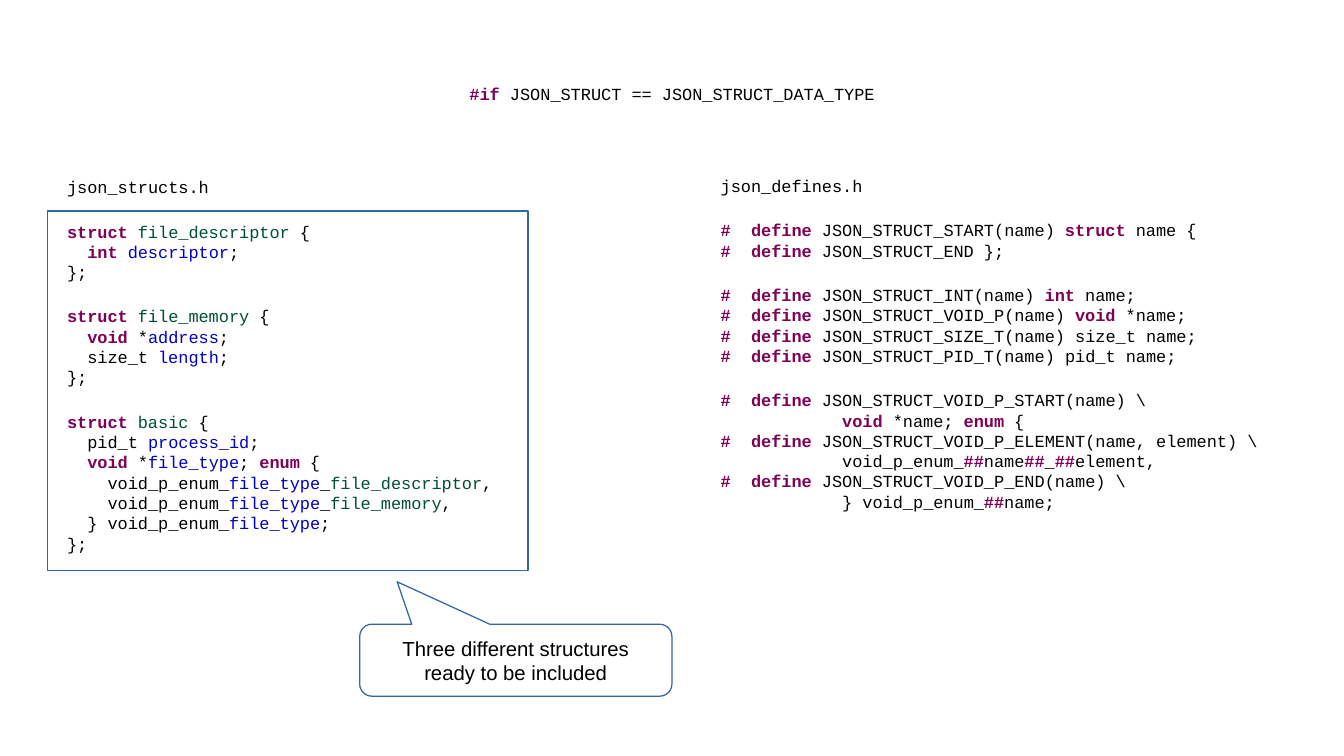
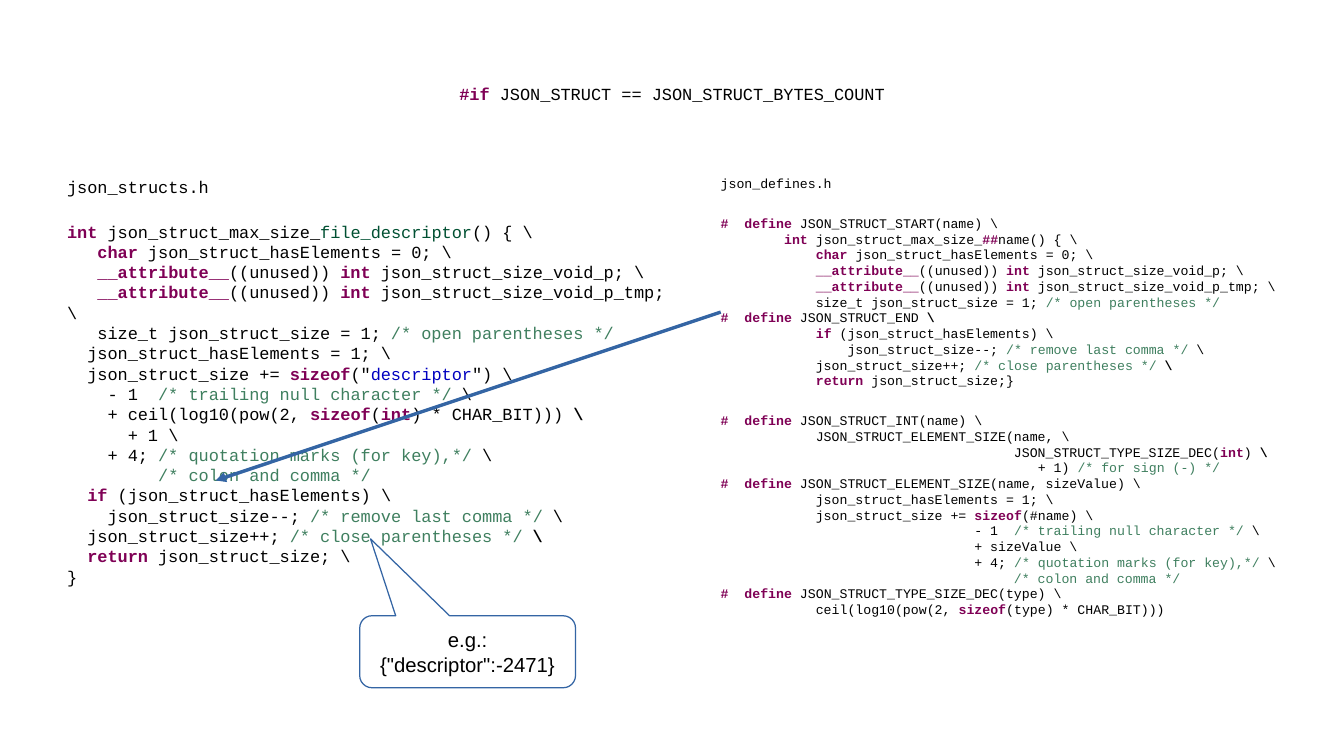
import pptx
import pptx.util
import pptx.dml.color
import pptx.enum.shapes
import pptx.enum.text
import pptx.oxml.xmlchemy

Pt = pptx.util.Pt
Shape = pptx.enum.shapes.MSO_SHAPE
Align = pptx.enum.text.PP_ALIGN
Anchor = pptx.enum.text.MSO_ANCHOR

COLOR = {
    "plain": "000000",
    "key": "7F0055",
    "type": "005032",
    "field": "0000C0",
    "note": "3F7F5F",
    "line": "3465A4",
}
STYLE = {
    "n": ("plain", False),
    "b": ("plain", True),
    "k": ("key", True),
    "t": ("type", False),
    "f": ("field", False),
    "c": ("note", False),
}
MONO = {"name": "Courier New", "size": Pt(10)}
SMALL = {"name": "Courier New", "size": Pt(7.8)}
SANS = {"name": "Arial", "size": Pt(12)}
FLUSH = dict.fromkeys(
    ("margin_left", "margin_top", "margin_right", "margin_bottom"), 0)
FRAME = {"word_wrap": True, "auto_size": pptx.enum.text.MSO_AUTO_SIZE.NONE}
PAGE = (793.44, 446.4)
TITLE = (39.6, 18, 714.24, 74.88)
LEFT = (39.6, 104.4, 357.12, 259.2)
RIGHT = (425.52, 103.7, 329.04, 259.2)

DATA_LEFT = [r"""json_structs.h

~kstruct ~tfile_descriptor~n {
  ~kint ~fdescriptor~n;
};

~kstruct ~tfile_memory~n {
  ~kvoid~n *~faddress~n;
  size_t ~flength~n;
};
""", r"""~kstruct ~tbasic~n {
  pid_t ~fprocess_id~n;
  ~kvoid~n *~ffile_type~n; ~kenum~n {
    void_p_enum_~ffile_type~n_~tfile_descriptor~n,
    void_p_enum_~ffile_type~n_~tfile_memory~n,
  } void_p_enum_~ffile_type~n;
};"""]

DATA_RIGHT = [r"""json_defines.h

~k#  define~n JSON_STRUCT_START(name) ~kstruct~n name {
~k#  define~n JSON_STRUCT_END };

~k#  define~n JSON_STRUCT_INT(name) ~kint~n name;
~k#  define~n JSON_STRUCT_VOID_P(name) ~kvoid~n *name;
~k#  define~n JSON_STRUCT_SIZE_T(name) size_t name;
~k#  define~n JSON_STRUCT_PID_T(name) pid_t name;
""", r"""~k#  define~n JSON_STRUCT_VOID_P_START(name) \
            ~kvoid~n *name; ~kenum~n {
~k#  define~n JSON_STRUCT_VOID_P_ELEMENT(name, element) \
            void_p_enum_~k##~nname~k##~n_~k##~nelement,
~k#  define~n JSON_STRUCT_VOID_P_END(name) \
            } void_p_enum_~k##~nname;"""]

COUNT_LEFT = [r"""json_structs.h

~kint~n json_struct_max_size_~tfile_descriptor~n() { \
   ~kchar~n json_struct_hasElements = 0; \
   ~k__attribute__~n((unused)) ~kint~n json_struct_size_void_p; \
   ~k__attribute__~n((unused)) ~kint~n json_struct_size_void_p_tmp; \
   size_t json_struct_size = 1; ~c/* open parentheses */""",
              r"""~n  json_struct_hasElements = 1; \
  json_struct_size += ~ksizeof~n("~fdescriptor~n") \
    - 1  ~c/* trailing null character */~n \
    + ceil(log10(pow(2, ~ksizeof~n(~kint~n) * CHAR_BIT)))~b \
      ~n+ 1 \
    + 4; ~c/* quotation marks (for key),*/~n \
~c         /* colon and comma */
  ~kif~n (json_struct_hasElements) \
    json_struct_size--; ~c/* remove last comma */~n \
  json_struct_size++; ~c/* close parentheses */~b \
  ~kreturn ~njson_struct_size; \
}"""]

COUNT_RIGHT = [r"""json_defines.h

~k#  define~n JSON_STRUCT_START(name) \
        ~kint~n json_struct_max_size_~k##~nname() { \
            ~kchar~n json_struct_hasElements = 0; \
            ~k__attribute__~n((unused)) ~kint~n json_struct_size_void_p; \
            ~k__attribute__~n((unused)) ~kint~n json_struct_size_void_p_tmp; \
            size_t json_struct_size = 1; ~c/* open parentheses */""",
               r"""~k#  define ~nJSON_STRUCT_END~b \
            ~kif~n (json_struct_hasElements) \
                json_struct_size--; ~c/* remove last comma */~n \
            json_struct_size++; ~c/* close parentheses */~b \
            ~kreturn ~njson_struct_size;}
""", r"""~k#  define ~nJSON_STRUCT_INT(name) \
            JSON_STRUCT_ELEMENT_SIZE(name, \
                                     JSON_STRUCT_TYPE_SIZE_DEC(~kint~n)~b \
                                        ~n+ 1) ~c/* for sign (-) */""",
               r"""~k#  define~n JSON_STRUCT_ELEMENT_SIZE(name, sizeValue) \
            json_struct_hasElements = 1; \
            json_struct_size += ~ksizeof~n(#name) \
                                - 1  ~c/* trailing null character */~n \
                                + sizeValue \
                                + 4; ~c/* quotation marks (for key),*/~n \
~c                                     /* colon and comma */
~k#  define ~nJSON_STRUCT_TYPE_SIZE_DEC(type) \
            ceil(log10(pow(2, ~ksizeof~n(type) * CHAR_BIT)))"""]


def adjust(item, *formats):
    """Set attributes of an item from dicts of format values."""
    for form in formats:
        for name, value in form.items():
            setattr(item, name, value)


def points(box):
    """Turn numbers into lengths in points."""
    return [Pt(value) for value in box]


def tint(name):
    """Return the named colour."""
    return pptx.dml.color.RGBColor.from_string(COLOR[name])


def write(frame, text, font, layout, gap=0):
    """Fill a frame with marked-up text, one paragraph per block."""
    for index, block in enumerate(text.split("\n\n")):
        para = frame.paragraphs[0] if index == 0 else frame.add_paragraph()
        adjust(para, layout, {"space_before": Pt(gap if index else 0)})
        for part in ("~n" + block).split("~")[1:]:
            color, bold = STYLE[part[0]]
            for row, line in enumerate(part[1:].split("\n")):
                if row:
                    para.add_line_break()
                if line:
                    run = para.add_run()
                    run.text = line
                    adjust(run.font, font, {"bold": bold})
                    run.font.color.rgb = tint(color)


def head(slide, box, text):
    """Place and fill the title."""
    title = slide.shapes.title
    names = ("left", "top", "width", "height")
    adjust(title, dict(zip(names, points(box))))
    adjust(title.text_frame, FLUSH, FRAME, {"vertical_anchor": Anchor.MIDDLE})
    write(title.text_frame, text, MONO, {"alignment": Align.CENTER})


def code(slide, box, parts, font=MONO, lead=12):
    """Place one column of source code."""
    frame = slide.shapes.add_textbox(*points(box)).text_frame
    adjust(frame, FLUSH, FRAME)
    write(frame, "\n".join(parts), font, {"line_spacing": Pt(lead)}, 14.2)


def hollow(slide, kind, box):
    """Draw an unfilled shape with a hairline edge."""
    shape = slide.shapes.add_shape(kind, *points(box))
    shape.shadow.inherit = False
    shape.fill.background()
    shape.line.color.rgb = tint("line")
    shape.line.width = Pt(0)
    return shape


def callout(slide, box, tip, text):
    """Draw a speech bubble whose tip is given as shares of its box."""
    bubble = hollow(slide, Shape.ROUNDED_RECTANGULAR_CALLOUT, box)
    for index, value in enumerate((*tip, 0.17)):
        bubble.adjustments[index] = value
    adjust(bubble.text_frame,
           {"word_wrap": False, "vertical_anchor": Anchor.MIDDLE})
    write(bubble.text_frame, text, SANS, {"alignment": Align.CENTER})


def arrow(slide, start, end):
    """Draw a hairline arrow between two points."""
    link = slide.shapes.add_connector(
        pptx.enum.shapes.MSO_CONNECTOR.STRAIGHT, *points(start + end))
    link.line.color.rgb = tint("line")
    link.line.width = Pt(0)
    make = pptx.oxml.xmlchemy.OxmlElement
    tail = make("a:tailEnd")
    tail.set("type", "triangle")
    link.line._get_or_add_ln().append(tail)
    link._element.spPr.append(make("a:effectLst"))


def base(deck, name):
    """Add a slide with its title condition."""
    slide = deck.slides.add_slide(deck.slide_layouts[5])
    head(slide, TITLE, "~k#if~n JSON_STRUCT == " + name)
    return slide


def data(deck):
    """Build the data type slide."""
    slide = base(deck, "JSON_STRUCT_DATA_TYPE")
    code(slide, LEFT, DATA_LEFT)
    code(slide, RIGHT, DATA_RIGHT)
    callout(slide, (212.4, 368.6, 184.3, 42.5), (-0.38, -1.09),
            "Three different structures\nready to be included")
    hollow(slide, Shape.RECTANGLE, (28.1, 124.6, 283.7, 212.4))


def count(deck):
    """Build the byte count slide."""
    slide = base(deck, "JSON_STRUCT_BYTES_COUNT")
    code(slide, LEFT, COUNT_LEFT)
    code(slide, RIGHT, COUNT_RIGHT, SMALL, 9.3)
    arrow(slide, (RIGHT[0], 184.3), (127.4, 283.7))
    callout(slide, (212.4, 363.6, 127.4, 42.5), (-0.45, -1.57),
            'e.g.:\n{"descriptor":-2471}')


def main():
    """Build and save the deck."""
    deck = pptx.Presentation()
    adjust(deck, dict(zip(("slide_width", "slide_height"), points(PAGE))))
    data(deck)
    count(deck)
    deck.save("out.pptx")


if __name__ == "__main__":
    main()
